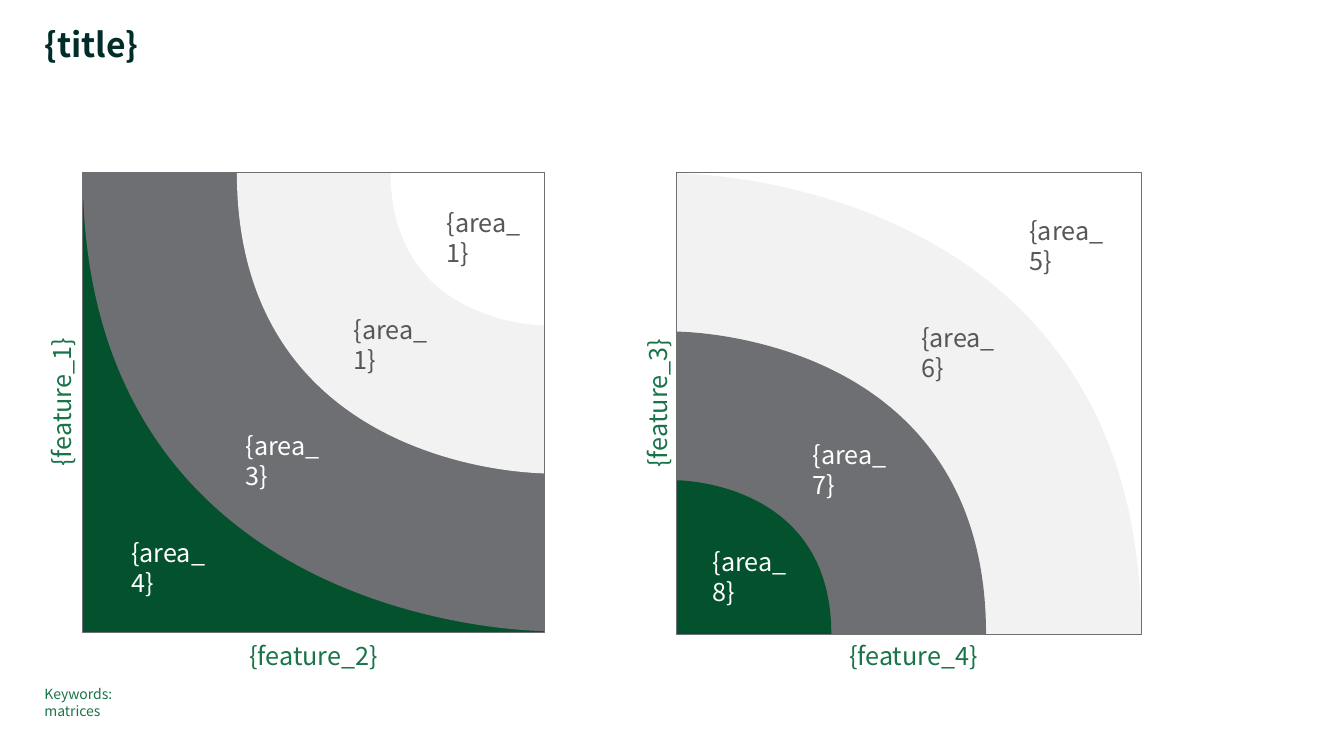
"""Build a slide with two quarter-circle matrices and their axis labels."""
from lxml.etree import SubElement
from pptx import Presentation
from pptx.dml.color import RGBColor
from pptx.enum.shapes import MSO_SHAPE
from pptx.enum.text import MSO_ANCHOR, MSO_AUTO_SIZE, PP_ALIGN
from pptx.oxml.ns import qn
from pptx.util import Inches, Pt

FONT = "Noto Sans CJK JP"
COLORS = {"title": "002D28", "feature": "1A7449", "green": "03522D", "gray": "6E6F73",
          "light": "F2F2F2", "white": "FFFFFF", "dark_text": "575757"}
TITLE = "{title}"
KEYWORDS = "Keywords: matrices"
MATRICES = [
    {"left": 0.82, "width": 4.58, "height": 4.56, "corner": (1, 0),
     "ground": "green", "bands": ["gray", "light", "white"], "label_gap": 0.21,
     "vertical": "{feature_1}", "horizontal": "{feature_2}", "label_width": 4.58,
     "areas": [("{area_1}", 78.8, 7.5, "dark_text"), ("{area_1}", 58.7, 30.7, "dark_text"),
               ("{area_3}", 35.3, 56, "white"), ("{area_4}", 10.5, 79.2, "white")]},
    {"left": 6.71, "width": 4.61, "height": 4.58, "corner": (0, 1),
     "ground": "white", "bands": ["light", "gray", "green"], "label_gap": 0.19,
     "vertical": "{feature_3}", "horizontal": "{feature_4}", "label_width": 4.7,
     "areas": [("{area_5}", 75.9, 9.1, "dark_text"), ("{area_6}", 52.6, 32.3, "dark_text"),
               ("{area_7}", 29.3, 57.7, "white"), ("{area_8}", 7.8, 80.8, "white")]},
]
BAND_REACH = [(100, 99.8), (66.6, 65.5), (33.3, 33.3)]
TOP = 1.71
LABEL_TOP = 6.35
LABEL_HEIGHT = 0.3
AREA_WIDTH, AREA_HEIGHT = 0.81, 0.61


def color(name):
    return RGBColor.from_string(COLORS[name])


def write(box, text, size, tint, align=PP_ALIGN.LEFT, anchor=MSO_ANCHOR.TOP):
    frame = box.text_frame
    frame.margin_left = frame.margin_right = frame.margin_top = frame.margin_bottom = 0
    frame.word_wrap = True
    frame.auto_size = MSO_AUTO_SIZE.SHAPE_TO_FIT_TEXT
    frame.vertical_anchor = anchor
    frame.text = text
    paragraph = frame.paragraphs[0]
    paragraph.alignment = align
    paragraph.font.name = FONT
    paragraph.font.size = Pt(size)
    paragraph.font.color.rgb = color(tint)
    return paragraph


def add_label(slide, bounds, text, size, tint, **layout):
    box = slide.shapes.add_textbox(*map(Inches, bounds))
    write(box, text, size, tint, **layout)
    return box


def paint(shape, fill=None, line=None):
    shape.shadow.inherit = False
    if fill:
        shape.fill.solid()
        shape.fill.fore_color.rgb = color(fill)
    else:
        shape.fill.background()
    if line:
        shape.line.color.rgb = color(line)
        shape.line.width = Pt(0.5)
    else:
        shape.line.fill.background()


def add_band(slide, corner_x, corner_y, reach_x, reach_y, fill):
    far_x, far_y = Inches(corner_x + reach_x), Inches(corner_y + reach_y)
    corner_x, corner_y = Inches(corner_x), Inches(corner_y)
    builder = slide.shapes.build_freeform(far_x, corner_y)
    builder.add_line_segments([(corner_x, corner_y), (corner_x, far_y)], close=True)
    band = builder.convert_to_shape()
    paint(band, fill)

    outline = next(band.element.iter(qn("a:path")))
    first, _, last = [(point.get("x"), point.get("y")) for point in outline.iter(qn("a:pt"))]
    arc = SubElement(outline, qn("a:cubicBezTo"))
    for x, y in (last, (first[0], last[1]), first):
        SubElement(arc, qn("a:pt"), x=x, y=y)
    outline.append(outline.find(qn("a:close")))


def add_matrix(slide, matrix):
    left, width, height = matrix["left"], matrix["width"], matrix["height"]
    bounds = [Inches(value) for value in (left, TOP, width, height)]
    paint(slide.shapes.add_shape(MSO_SHAPE.RECTANGLE, *bounds), matrix["ground"])

    column, row = matrix["corner"]
    for fill, (across, down) in zip(matrix["bands"], BAND_REACH):
        add_band(slide, left + column * width, TOP + row * height,
                 (1 - 2 * column) * width * across / 100,
                 (1 - 2 * row) * height * down / 100, fill)

    for text, across, down, tint in matrix["areas"]:
        add_label(slide, (left + width * across / 100, TOP + height * down / 100,
                          AREA_WIDTH, AREA_HEIGHT), text, 18, tint, anchor=MSO_ANCHOR.MIDDLE)
    paint(slide.shapes.add_shape(MSO_SHAPE.RECTANGLE, *bounds), line="gray")

    vertical = add_label(slide, (left - matrix["label_gap"] - height / 2,
                                 TOP + (height - LABEL_HEIGHT) / 2, height, LABEL_HEIGHT),
                         matrix["vertical"], 18, "feature", align=PP_ALIGN.CENTER)
    vertical.rotation = 270
    add_label(slide, (left, LABEL_TOP, matrix["label_width"], LABEL_HEIGHT),
              matrix["horizontal"], 18, "feature", align=PP_ALIGN.CENTER)


def main():
    deck = Presentation()
    deck.slide_width, deck.slide_height = Inches(13.33), Inches(7.5)
    slide = deck.slides.add_slide(deck.slide_layouts[5])

    title = slide.shapes.title
    title.left, title.top, title.width, title.height = map(Inches, (0.44, 0.28, 11.03, 0.37))
    heading = write(title, TITLE, 24, "title")
    heading.font.bold = True
    heading.line_spacing = 0.9

    for matrix in MATRICES:
        add_matrix(slide, matrix)
    add_label(slide, (0.44, 6.8, 1.22, 0.17), KEYWORDS, 10, "feature")
    deck.save("out.pptx")


if __name__ == "__main__":
    main()
